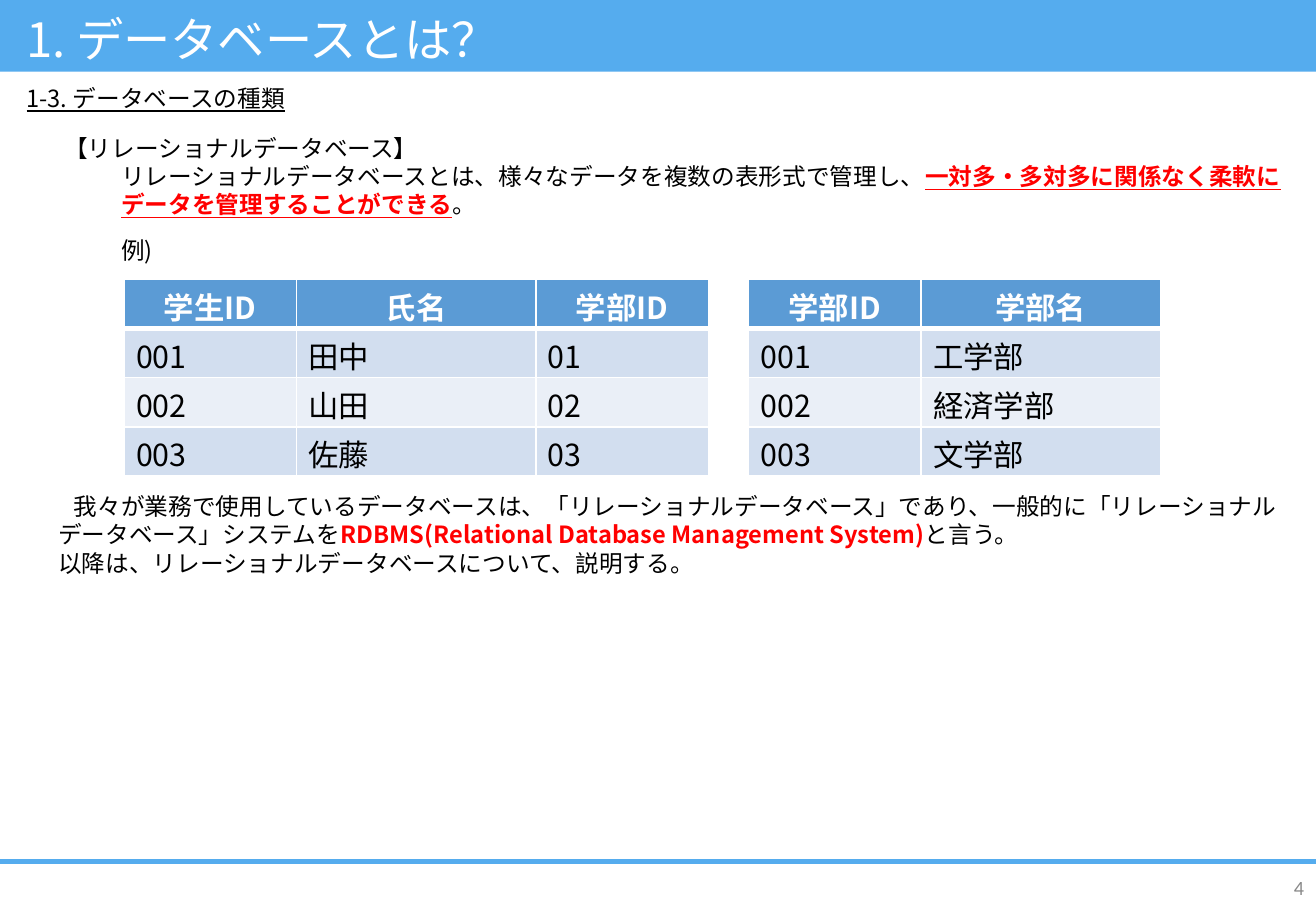
from lxml import etree
from pptx import Presentation
from pptx import util as u
from pptx.dml.color import RGBColor
from pptx.enum import shapes, text
from pptx.oxml.ns import qn

WIDTH, HEIGHT = 10.83, 7.5
MARGIN, BODY_WIDTH = 0.12, 10.54
JAPANESE = "Noto Sans CJK JP"
SKY, WHITE, BLACK, RED = "55ACEE", "FFFFFF", "000000", "FF0000"
HEADER, BAND_DARK, BAND_LIGHT = "5B9BD5", "D2DEEF", "EAEFF7"
ID_COL, NAME_COL, ROW = 1.42, 1.97, 0.405
TABLE_TOP = 2.3
BODY_SIZE, LEADING = 14, 1.2

STUDENTS = [["学生ID", "氏名", "学部ID"],
            ["001", "田中", "01"],
            ["002", "山田", "02"],
            ["003", "佐藤", "03"]]
FACULTIES = [["学部ID", "学部名"],
             ["001", "工学部"],
             ["002", "経済学部"],
             ["003", "文学部"]]


def color(value):
    return RGBColor.from_string(value)


def style(run, size, fill=BLACK, bold=False, underline=False, face=JAPANESE):
    font = run.font
    font.size, font.bold, font.underline = u.Pt(size), bold, underline
    font.color.rgb = color(fill)
    font.name = face
    etree.SubElement(run._r.get_or_add_rPr(), qn("a:ea"), typeface=face)


def add_frame(slide, left, top, width, height, anchor=text.MSO_ANCHOR.TOP):
    box = slide.shapes.add_textbox(*map(u.Inches, (left, top, width, height)))
    frame = box.text_frame
    frame.word_wrap = True
    frame.vertical_anchor = anchor
    return frame


def add_line(slide, left, top, width, height, line, size, fill, **look):
    """Add one vertically centred line of text."""
    frame = add_frame(slide, left, top, width, height, text.MSO_ANCHOR.MIDDLE)
    frame.text = line
    paragraph = frame.paragraphs[0]
    paragraph.line_spacing = u.Pt(size * LEADING)
    style(paragraph.runs[0], size, fill, **look)
    return paragraph


def add_body(slide, top, height, paragraphs):
    """Each paragraph is (left indent, first-line indent, space before, runs)."""
    frame = add_frame(slide, MARGIN, top, BODY_WIDTH, height)
    frame.margin_top = u.Inches(0.06)
    for number, (left, first, before, runs) in enumerate(paragraphs):
        paragraph = frame.add_paragraph() if number else frame.paragraphs[0]
        properties = paragraph._p.get_or_add_pPr()
        properties.set("marL", str(u.Inches(left)))
        properties.set("indent", str(u.Inches(first)))
        paragraph.line_spacing = u.Pt(BODY_SIZE * LEADING)
        if before:
            paragraph.space_before = u.Pt(before)
        for words, look in runs:
            run = paragraph.add_run()
            run.text = words
            style(run, BODY_SIZE, **look)


def set_borders(cell, bottom):
    properties = cell._tc.get_or_add_tcPr()
    for place, side in enumerate("LRTB"):
        points = bottom if side == "B" else 1
        line = etree.Element(qn("a:ln" + side), w=str(u.Pt(points)))
        fill = etree.SubElement(line, qn("a:solidFill"))
        etree.SubElement(fill, qn("a:srgbClr"), val=WHITE)
        properties.insert(place, line)


def add_records(slide, left, widths, records):
    """Add a banded table whose first record is the header."""
    table = slide.shapes.add_table(
        len(records), len(widths), u.Inches(left), u.Inches(TABLE_TOP),
        u.Inches(sum(widths)), u.Inches(ROW * len(records))).table
    for column, width in zip(table.columns, widths):
        column.width = u.Inches(width)
    for r, record in enumerate(records):
        table.rows[r].height = u.Inches(ROW)
        is_header = r == 0
        band = HEADER if is_header else BAND_DARK if r % 2 else BAND_LIGHT
        for c, value in enumerate(record):
            cell = table.cell(r, c)
            cell.text = value
            cell.margin_top, cell.margin_bottom = u.Inches(0.1), 0
            cell.fill.solid()
            cell.fill.fore_color.rgb = color(band)
            set_borders(cell, 3 if is_header or r == 1 and False else 1)
            paragraph = cell.text_frame.paragraphs[0]
            paragraph.line_spacing = u.Pt(18 * LEADING)
            if is_header:
                paragraph.alignment = text.PP_ALIGN.CENTER
            style(paragraph.runs[0], 18, WHITE if is_header else BLACK, is_header)


def add_bands(slide):
    """Add the title band and the footer rule."""
    band = slide.shapes.add_shape(shapes.MSO_SHAPE.RECTANGLE, 0, 0,
                                  u.Inches(WIDTH), u.Inches(0.59))
    band.shadow.inherit = False
    band.fill.solid()
    band.fill.fore_color.rgb = color(SKY)
    band.line.fill.background()
    rule = slide.shapes.add_connector(
        shapes.MSO_CONNECTOR.STRAIGHT,
        *map(u.Inches, (0, 7.09, WIDTH, 7.09)))
    rule.line.color.rgb = color(SKY)
    rule.line.width = u.Pt(3)
    etree.SubElement(rule._element.spPr, qn("a:effectLst"))


def main():
    deck = Presentation()
    deck.slide_width, deck.slide_height = u.Inches(WIDTH), u.Inches(HEIGHT)
    slide = deck.slides.add_slide(deck.slide_layouts[6])
    plain, strong = {}, {"fill": RED, "bold": True}
    key_point = {**strong, "underline": True}

    add_bands(slide)
    add_line(slide, MARGIN, 0.07, 10.7, 0.49, "1. データベースとは？", 28, WHITE)
    page = add_line(slide, 8.39, 7.16, 2.44, 0.3, "4", 12, "898989", face="Calibri")
    page.alignment = text.PP_ALIGN.RIGHT

    add_body(slide, 0.63, 0.34, [
        (0, 0, 0, [("1-3. データベースの種類", {"underline": True})])])
    add_body(slide, 1.04, 1.18, [
        (0.31, 0, 0, [("【リレーショナルデータベース】", plain)]),
        (0.78, 0, 0, [
            ("リレーショナルデータベースとは、様々なデータを複数の表形式で管理し、", plain),
            ("一対多・多対多に関係なく柔軟にデータを管理することができる", key_point),
            ("。", plain)]),
        (0.78, 0, 10, [("例)", plain)])])

    add_records(slide, 1.02, [ID_COL, NAME_COL, ID_COL], STUDENTS)
    add_records(slide, 6.16, [ID_COL, NAME_COL], FACULTIES)

    add_body(slide, 3.99, 0.81, [
        (0.26, 0.13, 0, [
            ("我々が業務で使用しているデータベースは、「リレーショナルデータベース」であり、"
             "一般的に「リレーショナルデータベース」システムを", plain),
            ("RDBMS(Relational Database Management System)", strong),
            ("と言う。", plain)]),
        (0.26, 0, 0, [
            ("以降は、リレーショナルデータベースについて、説明する。", plain)])])

    deck.save("out.pptx")


if __name__ == "__main__":
    main()
